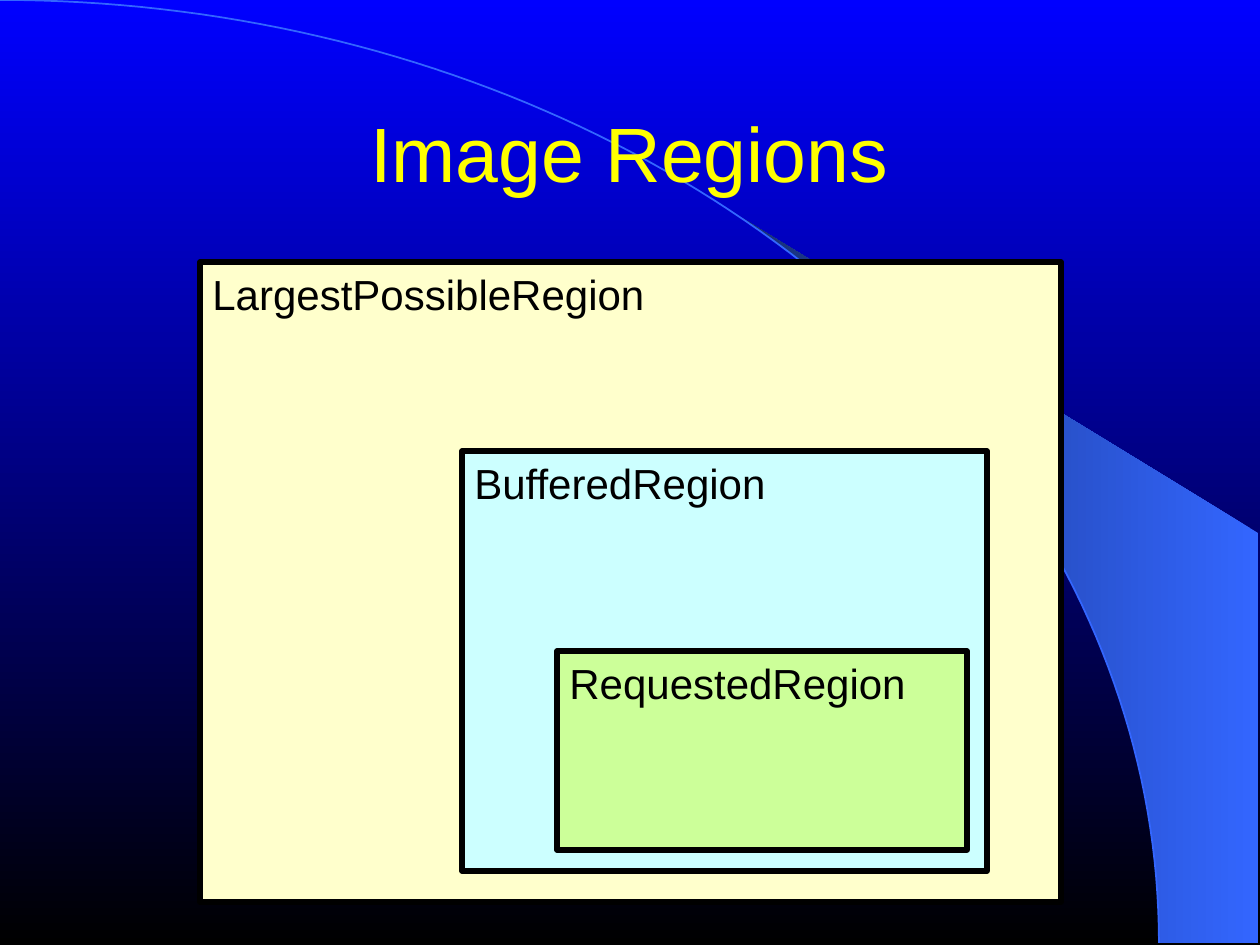
"""Build the Image Regions slide: three nested regions over a curved backdrop."""
from math import cos, radians, sin

from pptx import Presentation
from pptx.dml.color import RGBColor
from pptx.enum.shapes import MSO_SHAPE
from pptx.enum.text import MSO_ANCHOR, MSO_AUTO_SIZE, PP_ALIGN
from pptx.util import Inches, Pt

PX = Inches(1) / 126
TITLE = "Image Regions"
TITLE_BOX = (94, 73, 1071, 158)
REGIONS = [
    ("LargestPossibleRegion", (200, 262, 861, 640), 457, "FFFFCC"),
    ("BufferedRegion", (462, 451, 525, 420), 316, "CCFFFF"),
    ("RequestedRegion", (557, 651, 410, 199), 362, "CCFF99"),
]
LABEL_H = 63
ARC_W, ARC_H = 1159, 943
WEDGE = [(1159, 943), (1258, 943), (1258, 533), (742, 218)]
WEDGE_ANGLE = 47


def px(*values):
    return [round(v * PX) for v in values]


def rgb(value):
    return RGBColor.from_string(value)


def set_gradient(fill, colors, angle):
    fill.gradient()
    fill.gradient_angle = angle
    for stop, color in zip(fill.gradient_stops, colors):
        stop.color.rgb = rgb(color)


def set_line(sp, color, width):
    sp.line.color.rgb = rgb(color)
    sp.line.width = Pt(width)


def style_text(p, size, color):
    font = p.runs[0].font
    font.name, font.size = "Arial", Pt(size)
    font.color.rgb = rgb(color)


def arc(start, end, step):
    return [(ARC_W * cos(radians(a)), ARC_H * (1 - sin(radians(a))))
            for a in range(start, end, step)]


def add_outline(s, points, close):
    first, *rest = [px(*pt) for pt in points]
    builder = s.shapes.build_freeform(*first)
    builder.add_line_segments(rest, close=close)
    sp = builder.convert_to_shape()
    sp.shadow.inherit = False
    s.shapes.title._element.addprevious(sp._element)
    return sp


def add_backdrop(s):
    set_gradient(s.background.fill, ("0000FF", "000000"), 270)
    wedge = add_outline(s, WEDGE + arc(WEDGE_ANGLE, 0, -1), True)
    set_gradient(wedge.fill, ("3366FF", "172F75"), 180)
    wedge.line.fill.background()
    curve = add_outline(s, arc(0, 91, 1), False)
    curve.fill.background()
    set_line(curve, "3366FF", 1)


def add_title(s):
    title = s.shapes.title
    title.left, title.top, title.width, title.height = px(*TITLE_BOX)
    tf = title.text_frame
    tf.text = TITLE
    tf.vertical_anchor = MSO_ANCHOR.MIDDLE
    tf.margin_left = tf.margin_top = tf.margin_right = tf.margin_bottom = 0
    tf.paragraphs[0].alignment = PP_ALIGN.CENTER
    style_text(tf.paragraphs[0], 44, "FFFF00")


def add_region(s, name, box, label_w, color):
    sp = s.shapes.add_shape(MSO_SHAPE.RECTANGLE, *px(*box))
    sp.shadow.inherit = False
    sp.fill.solid()
    sp.fill.fore_color.rgb = rgb(color)
    set_line(sp, "000000", 3)
    label = s.shapes.add_textbox(*px(*box[:2], label_w, LABEL_H))
    tf = label.text_frame
    tf.text = name
    tf.word_wrap = False
    tf.auto_size = MSO_AUTO_SIZE.SHAPE_TO_FIT_TEXT
    style_text(tf.paragraphs[0], 24, "000000")


def main():
    prs = Presentation()
    prs.slide_width, prs.slide_height = Inches(10), Inches(7.5)
    s = prs.slides.add_slide(prs.slide_layouts[5])
    add_backdrop(s)
    add_title(s)
    for region in REGIONS:
        add_region(s, *region)
    prs.save("out.pptx")


if __name__ == "__main__":
    main()
